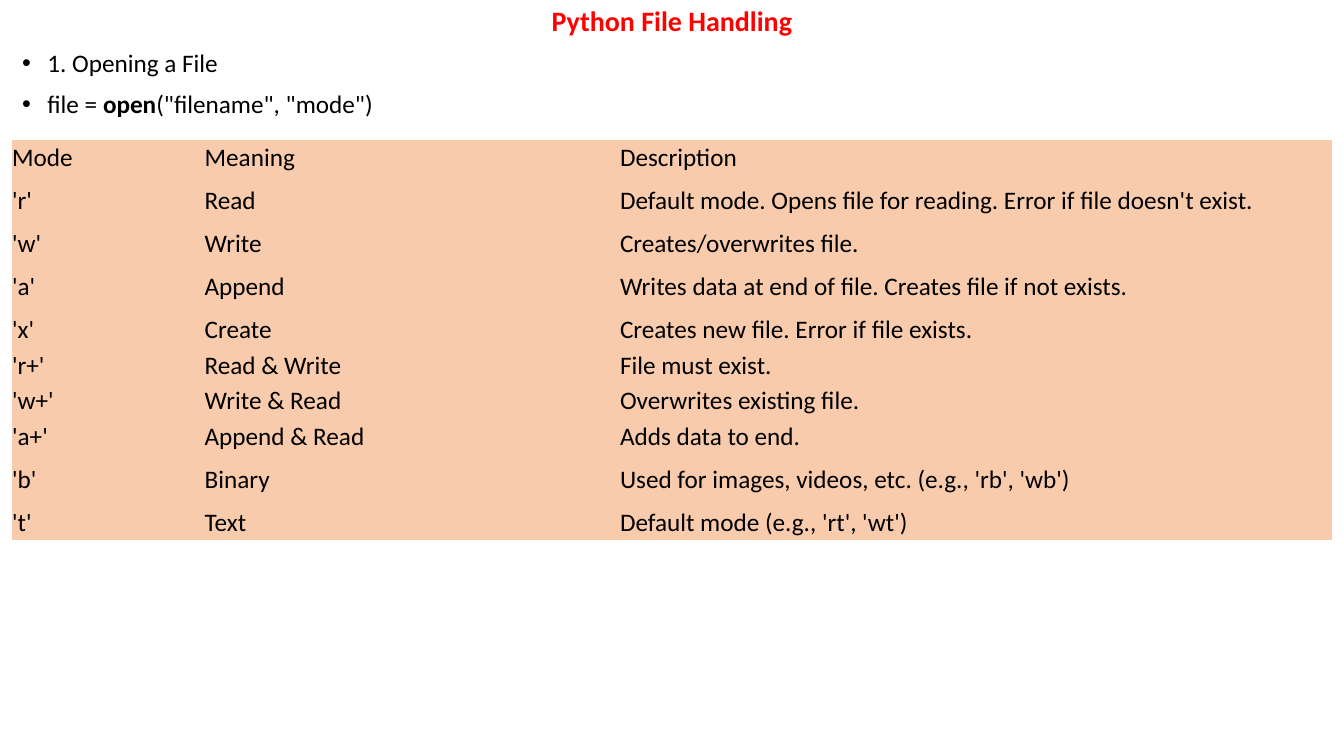
import pptx
import pptx.dml.color
import pptx.enum.text
import pptx.oxml.ns
import pptx.util
from lxml import etree

TITLE = "Python File Handling"
# Each bullet is a list of (text, bold) runs.
BULLETS = [
    [("1. Opening a File", False)],
    [("file = ", False), ("open", True), ('("filename", "mode")', False)],
]
MODES = [
    ("Mode", "Meaning", "Description"),
    ("'r'", "Read", "Default mode. Opens file for reading. Error if file doesn't exist."),
    ("'w'", "Write", "Creates/overwrites file."),
    ("'a'", "Append", "Writes data at end of file. Creates file if not exists."),
    ("'x'", "Create", "Creates new file. Error if file exists."),
    ("'r+'", "Read & Write", "File must exist."),
    ("'w+'", "Write & Read", "Overwrites existing file."),
    ("'a+'", "Append & Read", "Adds data to end."),
    ("'b'", "Binary", "Used for images, videos, etc. (e.g., 'rb', 'wb')"),
    ("'t'", "Text", "Default mode (e.g., 'rt', 'wt')"),
]

FONT = "Calibri"
BLACK, RED, PEACH = "000000", "FF0000", "F8CBAD"
WIDTH, HEIGHT = 13.33, 7.5
MARGIN = 0.12
CONTENT_WIDTH = WIDTH - 2 * MARGIN
TITLE_WIDTH, TITLE_HEIGHT = 11.5, 0.45
BODY_HEIGHT = 6.94
TABLE_TOP, TABLE_HEIGHT = 1.39, 3.97
COLUMN_WIDTHS = (1.91, 4.12, 7.06)
TALL_ROWS, TALL_HEIGHT = {1, 3, 8}, 0.5
ROW_HEIGHT = (TABLE_HEIGHT - len(TALL_ROWS) * TALL_HEIGHT) / (len(MODES) - len(TALL_ROWS))
INDENT = 0.25
PLAIN_TABLE_STYLE = "{2D5ABB26-0587-4C30-8999-92F81FD0307C}"

Inches, Pt = pptx.util.Inches, pptx.util.Pt


def color(value):
    return pptx.dml.color.RGBColor.from_string(value)


def place(shape, left, top, width, height):
    shape.left, shape.top = Inches(left), Inches(top)
    shape.width, shape.height = Inches(width), Inches(height)


def format_font(paragraph, size, value, bold=None):
    font = paragraph.font
    font.name, font.size, font.bold = FONT, Pt(size), bold
    font.color.rgb = color(value)


def add_bullet(paragraph):
    properties = paragraph._p.get_or_add_pPr()
    properties.set("marL", str(Inches(INDENT)))
    properties.set("indent", str(-Inches(INDENT)))
    for tag, name, value in (("a:buFont", "typeface", "Arial"), ("a:buChar", "char", "•")):
        etree.SubElement(properties, pptx.oxml.ns.qn(tag)).set(name, value)


def fill_title(title):
    place(title, (WIDTH - TITLE_WIDTH) / 2, 0, TITLE_WIDTH, TITLE_HEIGHT)
    frame = title.text_frame
    frame.text = TITLE
    frame.auto_size = pptx.enum.text.MSO_AUTO_SIZE.NONE
    frame.vertical_anchor = pptx.enum.text.MSO_ANCHOR.MIDDLE
    paragraph = frame.paragraphs[0]
    paragraph.alignment = pptx.enum.text.PP_ALIGN.CENTER
    paragraph.line_spacing = 0.9
    format_font(paragraph, 20, RED, True)


def fill_body(body):
    place(body, MARGIN, TITLE_HEIGHT, CONTENT_WIDTH, BODY_HEIGHT)
    frame = body.text_frame
    frame.auto_size = pptx.enum.text.MSO_AUTO_SIZE.NONE
    for index, runs in enumerate(BULLETS):
        paragraph = frame.add_paragraph() if index else frame.paragraphs[0]
        paragraph.line_spacing = 0.9
        paragraph.space_before = Pt(10 if index else 0)
        add_bullet(paragraph)
        format_font(paragraph, 18, BLACK)
        for text, bold in runs:
            run = paragraph.add_run()
            run.text, run.font.bold = text, bold


def fill_cell(cell, text):
    cell.text = text
    cell.margin_left = cell.margin_right = cell.margin_top = cell.margin_bottom = 0
    cell.vertical_anchor = pptx.enum.text.MSO_ANCHOR.MIDDLE
    cell.fill.solid()
    cell.fill.fore_color.rgb = color(PEACH)
    format_font(cell.text_frame.paragraphs[0], 18, BLACK)


def add_mode_table(slide):
    frame = slide.shapes.add_table(
        len(MODES), len(COLUMN_WIDTHS), Inches(MARGIN), Inches(TABLE_TOP),
        Inches(CONTENT_WIDTH), Inches(TABLE_HEIGHT))
    table = frame.table
    table.first_row = table.horz_banding = False
    table._tbl.tblPr.find(pptx.oxml.ns.qn("a:tableStyleId")).text = PLAIN_TABLE_STYLE
    for column, width in zip(table.columns, COLUMN_WIDTHS):
        column.width = Inches(width)
    for index, (row, texts) in enumerate(zip(table.rows, MODES)):
        row.height = Inches(TALL_HEIGHT if index in TALL_ROWS else ROW_HEIGHT)
        for cell, text in zip(row.cells, texts):
            fill_cell(cell, text)


def main():
    presentation = pptx.Presentation()
    presentation.slide_width, presentation.slide_height = Inches(WIDTH), Inches(HEIGHT)
    slide = presentation.slides.add_slide(presentation.slide_layouts[1])
    fill_title(slide.shapes.title)
    fill_body(slide.placeholders[1])
    add_mode_table(slide)
    presentation.save("out.pptx")


if __name__ == "__main__":
    main()
